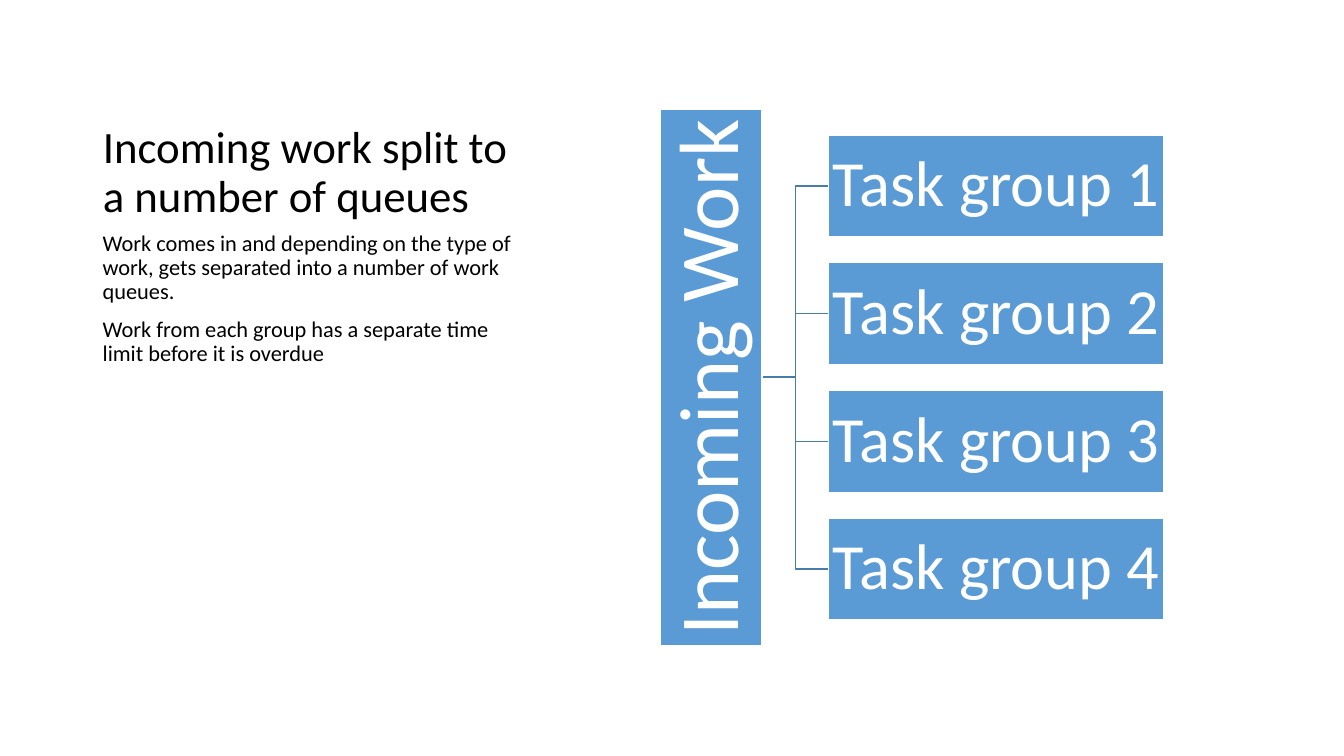
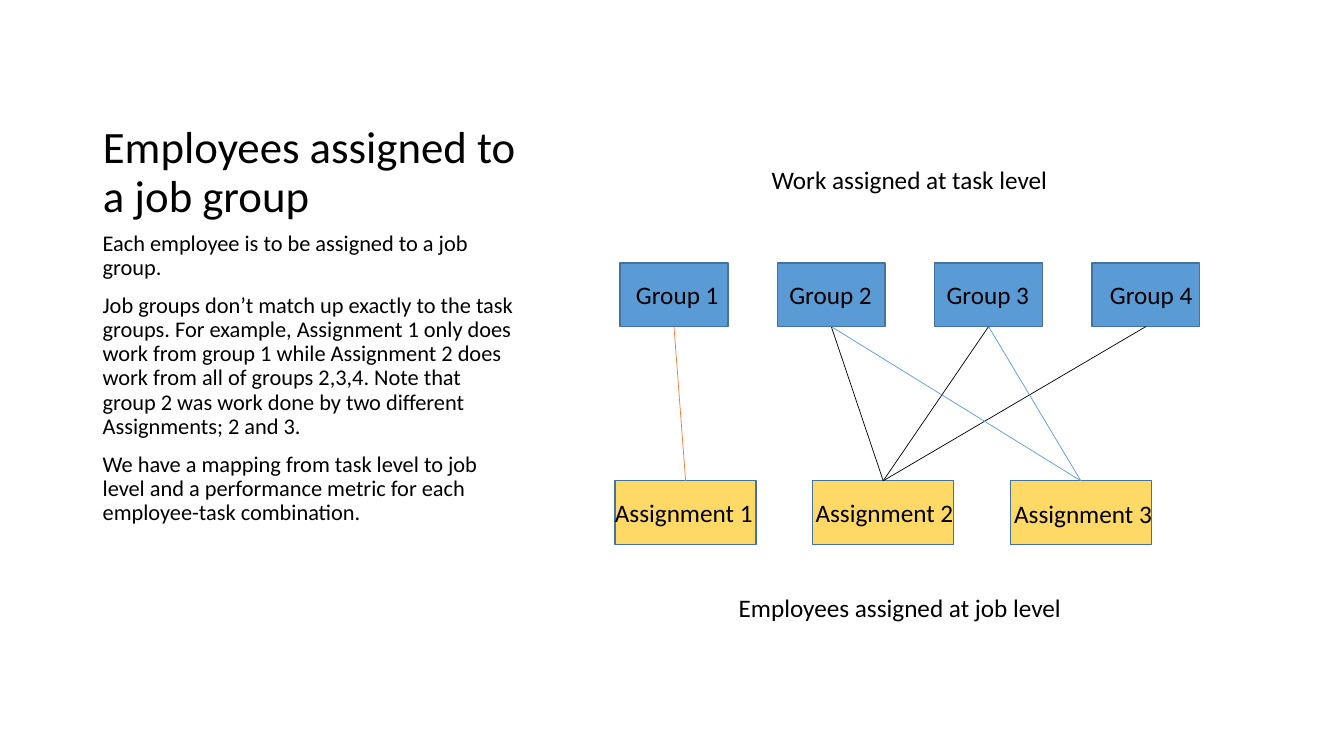
import pptx
import pptx.dml.color
import pptx.enum.shapes
import pptx.enum.text
import pptx.oxml
import pptx.oxml.ns
import pptx.util

Inches = pptx.util.Inches
Pt = pptx.util.Pt
ALIGN = pptx.enum.text.PP_ALIGN
ANCHOR = pptx.enum.text.MSO_ANCHOR

FONT = "Calibri"
TITLE_ONLY = 5
COLORS = {
    "text": "000000",
    "white": "FFFFFF",
    "blue": "5B9BD5",
    "yellow": "FFD966",
    "orange": "ED7D31",
    "outline": "43739E",
    "branch": "497CAB",
}


def color(name):
    return pptx.dml.color.RGBColor.from_string(COLORS[name])


def write(frame, paragraphs, size, ink="text", align=ALIGN.LEFT, leading=1.0, before=0):
    frame.word_wrap = True
    frame.auto_size = pptx.enum.text.MSO_AUTO_SIZE.NONE
    frame.text = "\n".join(paragraphs)
    for para in frame.paragraphs:
        para.alignment = align
        para.line_spacing = leading
        para.space_before = Pt(before)
        for span in para.runs:
            span.font.name = FONT
            span.font.size = Pt(size)
            span.font.color.rgb = color(ink)


def add_text(page, left, top, width, height, paragraphs, size, **style):
    box = page.shapes.add_textbox(Inches(left), Inches(top), Inches(width), Inches(height))
    write(box.text_frame, paragraphs, size, **style)


def add_box(page, left, top, width, height, fill, outline):
    box = page.shapes.add_shape(
        pptx.enum.shapes.MSO_SHAPE.RECTANGLE,
        Inches(left), Inches(top), Inches(width), Inches(height))
    box.shadow.inherit = False
    box.fill.solid()
    box.fill.fore_color.rgb = color(fill)
    box.line.color.rgb = color(outline)
    box.line.width = Pt(1)
    return box


def add_block(page, left, top, width, height, text, size, margin):
    box = add_box(page, left, top, width, height, "blue", "white")
    frame = box.text_frame
    write(frame, [text], size, ink="white", align=ALIGN.CENTER, leading=0.9)
    frame.vertical_anchor = ANCHOR.MIDDLE
    frame.margin_left = frame.margin_right = Inches(margin)
    frame.margin_top = frame.margin_bottom = Inches(margin)
    return box


def add_branch(page, start, end):
    middle = (start[0] + end[0]) / 2
    corners = [(middle, start[1]), (middle, end[1]), end]
    builder = page.shapes.build_freeform(Inches(start[0]), Inches(start[1]))
    builder.add_line_segments([(Inches(x), Inches(y)) for x, y in corners], close=False)
    branch = builder.convert_to_shape()
    branch.shadow.inherit = False
    branch.fill.background()
    branch.line.color.rgb = color("branch")
    branch.line.width = Pt(1)


def add_link(page, start, end, ink):
    link = page.shapes.add_connector(
        pptx.enum.shapes.MSO_CONNECTOR.STRAIGHT,
        Inches(start[0]), Inches(start[1]), Inches(end[0]), Inches(end[1]))
    link.line.color.rgb = color(ink)
    link.line.width = Pt(0.5)
    properties = link._element.find(pptx.oxml.ns.qn("p:spPr"))
    properties.append(pptx.oxml.parse_xml(
        "<a:effectLst %s/>" % pptx.oxml.ns.nsdecls("a")))


def add_page(deck, title, paragraphs):
    page = deck.slides.add_slide(deck.slide_layouts[TITLE_ONLY])
    heading = page.shapes.title
    heading.left, heading.top = Inches(0.92), Inches(0.5)
    heading.width, heading.height = Inches(4.3), Inches(1.75)
    write(heading.text_frame, [title], 32, leading=0.9)
    heading.text_frame.vertical_anchor = ANCHOR.BOTTOM
    add_text(page, 0.92, 2.25, 4.3, 4.17, paragraphs, 16, leading=0.9, before=10)
    return page


def build_queues(deck):
    page = add_page(deck, "Incoming work split to a number of queues", [
        "Work comes in and depending on the type of work, gets separated "
        "into a number of work queues.",
        "Work from each group has a separate time limit before it is overdue",
    ])
    thickness = 1.01
    tops = [1.34 + 1.267 * index for index in range(4)]
    for top in tops:
        add_branch(page, (7.56, 3.74), (8.22, top + thickness / 2))
    source = add_block(page, 4.39, 3.24, 5.33, thickness, "Incoming Work", 60, 0.04)
    source.rotation = 270
    for number, top in enumerate(tops, 1):
        add_block(page, 8.22, top, 3.32, thickness, f"Task group {number}", 46, 0.03)


def build_assignments(deck):
    page = add_page(deck, "Employees assigned to a job group", [
        "Each employee is to be assigned to a job group.",
        "Job groups don’t match up exactly to the task groups. For example, "
        "Assignment 1 only does work from group 1 while Assignment 2 does work "
        "from all of groups 2,3,4. Note that group 2 was work done by two "
        "different Assignments; 2 and 3.",
        "We have a mapping from task level to job level and a performance "
        "metric for each employee-task combination.",
    ])
    height, group_top, assignment_top = 0.63, 2.61, 4.77
    group_width, assignment_width = 1.07, 1.4
    groups = [6.15 + 1.56 * index for index in range(4)]
    assignments = [6.1 + 1.96 * index for index in range(3)]
    for left in groups:
        add_box(page, left, group_top, group_width, height, "blue", "outline")
    for left in assignments:
        add_box(page, left, assignment_top, assignment_width, height, "yellow", "outline")

    add_text(page, 6.15, 1.58, 5.74, 0.4, ["Work assigned at task level"], 18,
             align=ALIGN.CENTER)
    add_text(page, 6.43, 5.83, 4.99, 0.4, ["Employees assigned at job level"], 18,
             align=ALIGN.CENTER)
    for number, left in enumerate([6.21, 7.73, 9.29, 10.91], 1):
        add_text(page, left, 2.72, group_width, 0.4, [f"Group {number}"], 18)
    for number, (left, top) in enumerate([(6, 4.88), (7.99, 4.88), (9.96, 4.89)], 1):
        add_text(page, left, top, 1.75, 0.4, [f"Assignment {number}"], 18)

    links = [(1, 1, "orange"), (2, 2, "text"), (3, 2, "text"),
             (4, 2, "text"), (2, 3, "blue"), (3, 3, "blue")]
    for group, assignment, ink in links:
        start = (groups[group - 1] + group_width / 2, group_top + height)
        end = (assignments[assignment - 1] + assignment_width / 2, assignment_top)
        add_link(page, start, end, ink)


def main():
    deck = pptx.Presentation()
    deck.slide_width, deck.slide_height = Inches(13.33), Inches(7.5)
    build_queues(deck)
    build_assignments(deck)
    deck.save("out.pptx")


main()
